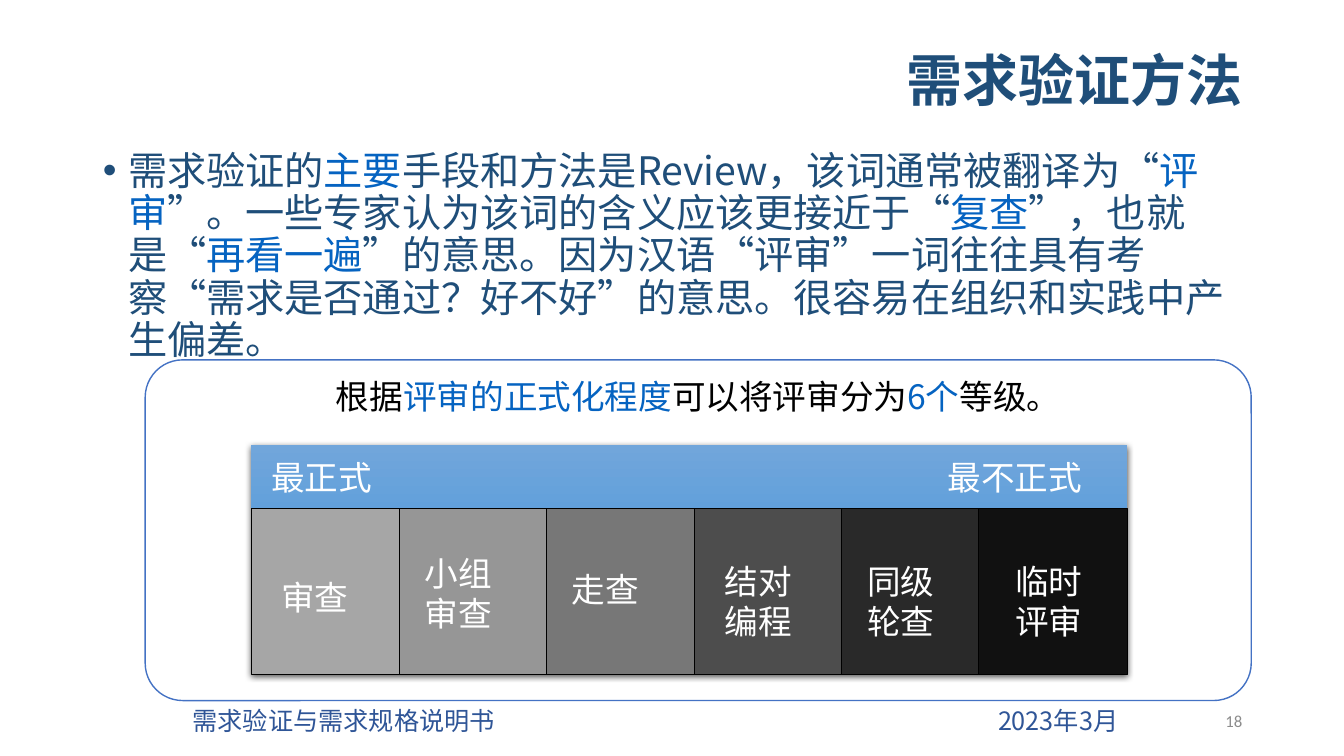
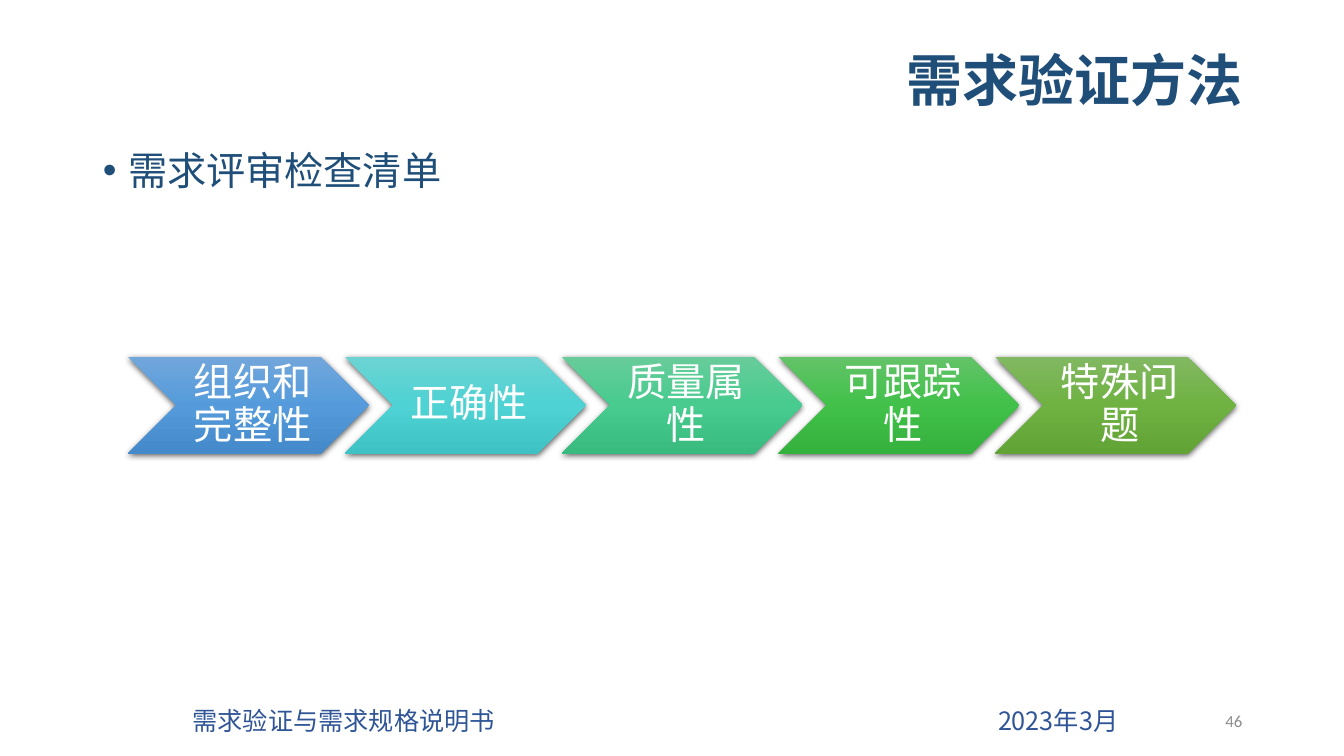
"""Build two slides on requirements verification methods."""
from dataclasses import dataclass
from itertools import cycle

from pptx import Presentation
from pptx import oxml, util as u
from pptx.dml.color import RGBColor
from pptx.enum import shapes, text
from pptx.oxml import ns

PX = 9144
ALIGN = text.PP_ALIGN
ANCHOR = text.MSO_ANCHOR
SHAPE = shapes.MSO_SHAPE


@dataclass(frozen=True)
class Theme:
    """Fonts, colours and type sizes of the deck."""
    font: str = "Noto Sans CJK SC"
    checklist_font: str = "Noto Sans CJK JP"
    number_font: str = "Calibri"
    navy: str = "1F4E79"
    accent: str = "0563C1"
    footer: str = "2F5597"
    grey: str = "8C8C8C"
    outline: str = "4472C4"
    black: str = "000000"
    white: str = "FFFFFF"
    blue_fade: tuple = ("71A6DB", "559BDB", "448ACA")
    title_size: int = 40
    body_size: int = 28
    label_size: int = 24
    footer_size: int = 18
    number_size: int = 12


THEME = Theme()

TITLE = "需求验证方法"
FOOTER = "需求验证与需求规格说明书\t2023年3月"
REVIEW_MEANING = (
    "需求验证的", "主要", "手段和方法是Review，该词通常被翻译为“", "评审",
    "”。一些专家认为该词的含义应该更接近于“", "复查", "”，也就是“", "再看一遍",
    "”的意思。因为汉语“评审”一词往往具有考察“需求是否通过？好不好”的意思。"
    "很容易在组织和实践中产生偏差。",
)
FORMALITY = ("根据", "评审的正式化程度", "可以将评审分为", "6个", "等级。")
SCALE_ENDS = (("最正式", 259, 121), ("最不正式", 930, 155))
LEVELS = (
    (("审查",), "A6A6A6", 30, 68),
    (("小组", "审查"), "969696", 25, 44),
    (("走查",), "777777", 25, 60),
    (("结对", "编程"), "4D4D4D", 30, 52),
    (("同级", "轮查"), "292929", 25, 52),
    (("临时", "评审"), "111111", 36, 52),
)
CHECKS = (
    ("组织和完整性", THEME.blue_fade),
    ("正确性", ("6CD3D3", "4ED2D3", "3EC2C3")),
    ("质量属性", ("67CC9A", "47CB8E", "39BB7F")),
    ("可跟踪性", ("63C368", "42C14A", "34B23D")),
    ("特殊问题", ("81B861", "6FB242", "62A336")),
)


def px(*lengths):
    """Turn px lengths into EMU."""
    return [u.Emu(length * PX) for length in lengths]


def apply(target, formats):
    """Set each attribute named in a dict of format values."""
    for name, value in formats.items():
        setattr(target, name, value)


def set_frame(frame, margins=(10, 5, 10, 5), anchor=ANCHOR.TOP, wrap=True):
    """Set the insets, anchor and wrapping of a text frame."""
    sides = ("margin_left", "margin_top", "margin_right", "margin_bottom")
    apply(frame, dict(zip(sides, px(*margins))))
    apply(frame, {"auto_size": text.MSO_AUTO_SIZE.NONE,
                  "vertical_anchor": anchor, "word_wrap": wrap})


def write(paragraph, parts, size, colors, font=THEME.font, bold=False, **formats):
    """Write runs whose colours take turns."""
    apply(paragraph, {"space_before": u.Pt(0), **formats})
    for part, color in zip(parts, cycle(colors)):
        run = paragraph.add_run()
        run.text = part
        apply(run.font, {"size": u.Pt(size), "name": font, "bold": bold})
        run.font.color.rgb = RGBColor.from_string(color)
        east_asian = oxml.parse_xml(f'<a:ea {ns.nsdecls("a")} typeface="{font}"/>')
        run.font._element.find(ns.qn("a:latin")).addnext(east_asian)


def add_text(slide, box, parts, size, color, font=THEME.font,
             anchor=ANCHOR.TOP, wrap=True, **formats):
    """Add a text box of one paragraph and return the paragraph."""
    frame = slide.shapes.add_textbox(*px(*box)).text_frame
    set_frame(frame, anchor=anchor, wrap=wrap)
    write(frame.paragraphs[0], parts, size, (color,), font, **formats)
    return frame.paragraphs[0]


def add_panel(slide, kind, box, fill, line=None, width=0.75):
    """Add a preset shape with a plain fill and an outline."""
    panel = slide.shapes.add_shape(kind, *px(*box))
    panel.shadow.inherit = False
    panel.fill.solid()
    panel.fill.fore_color.rgb = RGBColor.from_string(fill)
    panel.line.color.rgb = RGBColor.from_string(line or THEME.black)
    panel.line.width = u.Pt(width)
    return panel


def add_faded(slide, kind, box, fade):
    """Add a preset shape with a downward gradient and a soft shadow."""
    faded = slide.shapes.add_shape(kind, *px(*box))
    stops = "".join(
        f'<a:gs pos="{i * 50000}"><a:srgbClr val="{color}"/></a:gs>'
        for i, color in enumerate(fade))
    properties = faded._element.spPr
    properties.append(oxml.parse_xml(
        f'<a:gradFill {ns.nsdecls("a")} rotWithShape="1"><a:gsLst>{stops}</a:gsLst>'
        '<a:lin ang="5400000" scaled="0"/></a:gradFill>'))
    faded.line.fill.background()
    properties.append(oxml.parse_xml(
        f'<a:effectLst {ns.nsdecls("a")}><a:outerShdw blurRad="57150" dist="19050" '
        'dir="5400000" algn="ctr" rotWithShape="0"><a:srgbClr val="000000">'
        '<a:alpha val="63000"/></a:srgbClr></a:outerShdw></a:effectLst>'))
    return faded


def place(placeholder, box, anchor):
    """Move a placeholder and return its first paragraph."""
    apply(placeholder, dict(zip(("left", "top", "width", "height"), px(*box))))
    set_frame(placeholder.text_frame, anchor=anchor)
    return placeholder.text_frame.paragraphs[0]


def add_slide(deck, number, body, font=THEME.font):
    """Add a slide with title, bullet, footer and number."""
    slide = deck.slides.add_slide(deck.slide_layouts[1])
    title = place(slide.shapes.title, (92, 31, 1150, 104), ANCHOR.MIDDLE)
    write(title, (TITLE,), THEME.title_size, (THEME.navy,), bold=True,
          alignment=ALIGN.RIGHT, line_spacing=0.9)
    bullet = place(slide.placeholders[1], (92, 145, 1150, 531), ANCHOR.TOP)
    indent = bullet._p.get_or_add_pPr()
    indent.set("marL", str(25 * PX))
    indent.set("indent", str(-25 * PX))
    write(bullet, body, THEME.body_size, (THEME.navy, THEME.accent), font,
          line_spacing=0.9)
    footer = add_text(slide, (181, 695, 1091, 40), (FOOTER,),
                      THEME.footer_size, THEME.footer)
    footer._p.get_or_add_pPr().append(oxml.parse_xml(
        f'<a:tabLst {ns.nsdecls("a")}><a:tab pos="{799 * PX}" algn="l"/></a:tabLst>'))
    add_text(slide, (942, 695, 300, 40), (str(number),), THEME.number_size,
             THEME.grey, THEME.number_font, ANCHOR.MIDDLE, alignment=ALIGN.RIGHT)
    return slide


def add_formality_scale(slide):
    """Draw the six review levels from most to least formal."""
    left, top, width, height = 249, 441, 869, 228
    cell_top, cell_width, cell_height = 504, 147, 165
    frame = add_panel(slide, SHAPE.ROUNDED_RECTANGLE, (144, 357, 1097, 338),
                      THEME.white, THEME.outline, 1)
    frame.adjustments[0] = 0.11
    set_frame(frame.text_frame)
    write(frame.text_frame.paragraphs[0], FORMALITY, THEME.label_size,
          (THEME.black, THEME.accent), alignment=ALIGN.CENTER)
    add_faded(slide, SHAPE.RECTANGLE, (left, top, width, height), THEME.blue_fade)
    for label, label_left, label_width in SCALE_ENDS:
        add_text(slide, (label_left, 448, label_width, 51), (label,),
                 THEME.label_size, THEME.white, wrap=False)
    for i, (lines, fill, inset_left, inset_top) in enumerate(LEVELS):
        cell_left = min(left + round(i * 146.6), left + width - cell_width)
        level = add_panel(slide, SHAPE.RECTANGLE,
                          (cell_left, cell_top, cell_width, cell_height), fill)
        words = level.text_frame
        set_frame(words, (inset_left, inset_top, 0, 0))
        for j, line in enumerate(lines):
            paragraph = words.add_paragraph() if j else words.paragraphs[0]
            write(paragraph, (line,), THEME.label_size, (THEME.white,),
                  alignment=ALIGN.LEFT)


def add_checklist(slide):
    """Draw the review checklist as a row of chevrons."""
    for i, (check, fade) in enumerate(CHECKS):
        step = add_faded(slide, SHAPE.CHEVRON, (127 + 215 * i, 354, 239, 96), fade)
        set_frame(step.text_frame, (12, 4, 4, 4), ANCHOR.MIDDLE)
        write(step.text_frame.paragraphs[0], (check,), THEME.body_size,
              (THEME.white,), alignment=ALIGN.CENTER, line_spacing=0.9)


def main():
    """Build and save the deck."""
    deck = Presentation()
    deck.slide_width, deck.slide_height = px(1333, 750)
    add_formality_scale(add_slide(deck, 18, REVIEW_MEANING))
    add_checklist(add_slide(deck, 46, ("需求评审检查清单",), THEME.checklist_font))
    deck.save("out.pptx")


if __name__ == "__main__":
    main()
